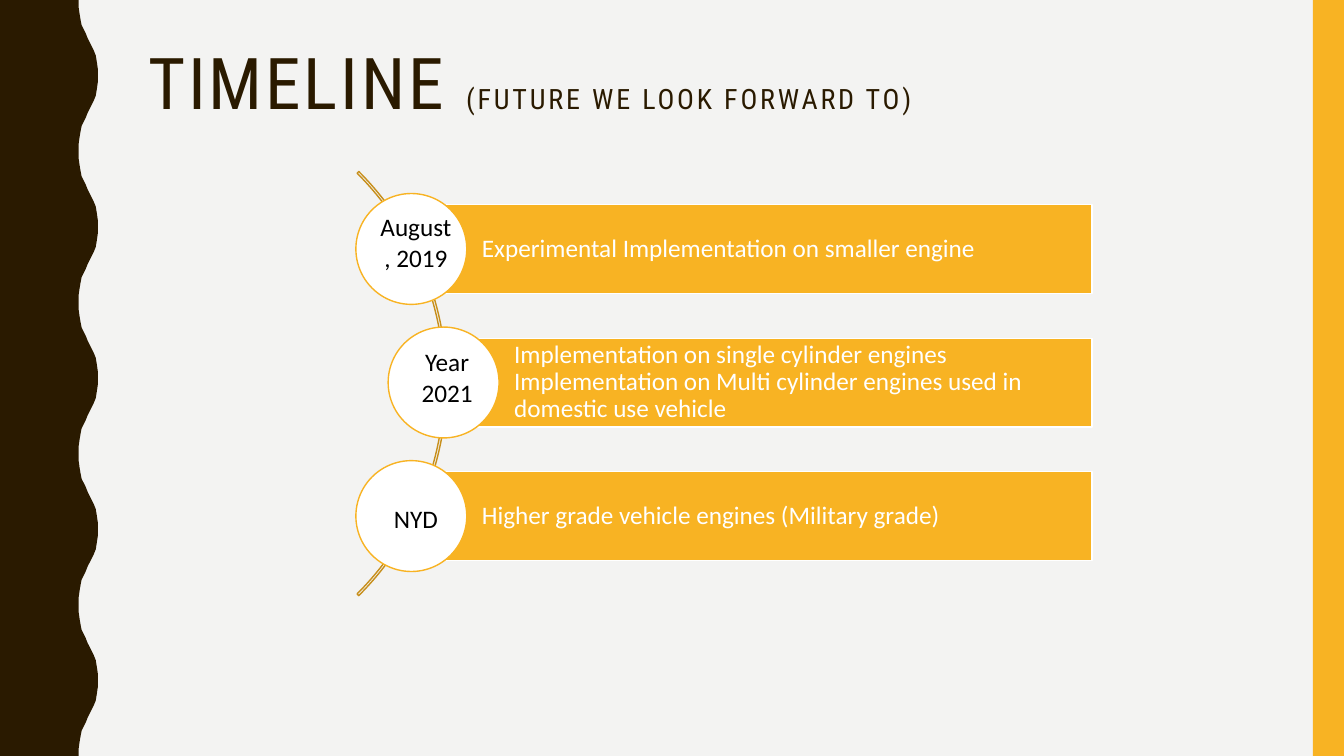
import dataclasses

import pptx
import pptx.dml.color
import pptx.enum.shapes
import pptx.enum.text
import pptx.shapes.autoshape
import pptx.slide
import pptx.text.text
import pptx.util

Inches = pptx.util.Inches
Pt = pptx.util.Pt
RGBColor = pptx.dml.color.RGBColor
Shape = pptx.shapes.autoshape.Shape
Preset = pptx.enum.shapes.MSO_SHAPE
Align = pptx.enum.text.PP_ALIGN
Anchor = pptx.enum.text.MSO_ANCHOR
AutoSize = pptx.enum.text.MSO_AUTO_SIZE

BROWN = RGBColor(0x2A, 0x1A, 0x00)
AMBER = RGBColor(0xF8, 0xB3, 0x23)
DARK_AMBER = RGBColor(0xC7, 0x8F, 0x1C)
PAPER = RGBColor(0xF3, 0xF3, 0xF2)
WHITE = RGBColor(0xFF, 0xFF, 0xFF)
BLACK = RGBColor(0x00, 0x00, 0x00)

SLIDE_WIDTH, SLIDE_HEIGHT = 13.33, 7.5
BAR_RIGHT, BAR_HEIGHT = 10.83, 0.88
FIRST_BAR_TOP, BAR_PITCH = 2.03, 1.325
CIRCLE_SIZE = 1.1

# Half a wave as (x, y); every second half is mirrored.
HALF_WAVE_HEIGHT = 0.75
HALF_WAVE = [
    (0.78, 0), (0.78, 0.07), (0.79, 0.14), (0.8, 0.2), (0.81, 0.25),
    (0.83, 0.29), (0.85, 0.33), (0.87, 0.38), (0.89, 0.42), (0.91, 0.46),
    (0.93, 0.5), (0.95, 0.55), (0.96, 0.61), (0.97, 0.68), (0.97, 0.75),
]


@dataclasses.dataclass(frozen=True)
class Milestone:
    date: str
    description: str
    bar_left: float
    date_left: float
    date_top: float
    date_height: float


MILESTONES = [
    Milestone("August, 2019", "Experimental Implementation on smaller engine",
              4.08, 3.65, 2.05, 0.71),
    Milestone("Year\n2021",
              "Implementation on single cylinder engines\v"
              "Implementation on Multi cylinder engines used in domestic use vehicle",
              4.4, 3.96, 3.39, 0.71),
    Milestone("NYD", "Higher grade vehicle engines (Military grade)",
              4.08, 3.65, 4.94, 0.4),
]


def paint(shape: Shape, fill: RGBColor | None, line: RGBColor | None) -> None:
    shape.shadow.inherit = False
    if fill is None:
        shape.fill.background()
    else:
        shape.fill.solid()
        shape.fill.fore_color.rgb = fill
    if line is None:
        shape.line.fill.background()
    else:
        shape.line.color.rgb = line
        shape.line.width = Pt(1)


def add_preset(slide: pptx.slide.Slide, preset: Preset, left: float, top: float,
               width: float, height: float, fill: RGBColor | None,
               line: RGBColor | None) -> Shape:
    shape = slide.shapes.add_shape(
        preset, Inches(left), Inches(top), Inches(width), Inches(height))
    paint(shape, fill, line)
    return shape


def format_text(frame: pptx.text.text.TextFrame, color: RGBColor,
                alignment: Align, line_spacing: float) -> None:
    for paragraph in frame.paragraphs:
        paragraph.alignment = alignment
        paragraph.line_spacing = line_spacing
        for span in paragraph.runs:
            span.font.name = "Calibri"
            span.font.size = Pt(18)
            span.font.color.rgb = color


def add_wave(slide: pptx.slide.Slide) -> None:
    edge = []
    for half in range(round(SLIDE_HEIGHT / HALF_WAVE_HEIGHT)):
        start = half * HALF_WAVE_HEIGHT
        if half % 2 == 0:
            edge += [(x, start + y) for x, y in HALF_WAVE]
        else:
            edge += [(x, start + HALF_WAVE_HEIGHT - y) for x, y in reversed(HALF_WAVE)]
    outline = edge + [(0, SLIDE_HEIGHT)]
    builder = slide.shapes.build_freeform(0, 0)
    builder.add_line_segments([(Inches(x), Inches(y)) for x, y in outline], close=True)
    paint(builder.convert_to_shape(), BROWN, None)


def add_title(slide: pptx.slide.Slide) -> None:
    title = slide.shapes.title
    title.left, title.top = Inches(1.37), Inches(0.42)
    title.width, title.height = Inches(11.13), Inches(1.63)
    frame = title.text_frame
    frame.word_wrap = True
    frame.auto_size = AutoSize.NONE
    frame.vertical_anchor = Anchor.TOP
    paragraph = frame.paragraphs[0]
    paragraph.alignment = Align.LEFT
    paragraph.line_spacing = 0.9
    for text, size in (("TIMELINE ", 51), ("(FUTURE WE LOOK FORWARD TO)", 20)):
        span = paragraph.add_run()
        span.text = text
        span.font.name = "Roboto Condensed"
        span.font.size = Pt(size)
        span.font.color.rgb = BROWN
        span.font._element.set("spc", "200")


def add_milestone(slide: pptx.slide.Slide, milestone: Milestone, bar_top: float) -> None:
    left = milestone.bar_left
    bar = add_preset(slide, Preset.RECTANGLE, left, bar_top,
                     BAR_RIGHT - left, BAR_HEIGHT, AMBER, WHITE)
    frame = bar.text_frame
    frame.word_wrap = True
    frame.vertical_anchor = Anchor.MIDDLE
    frame.margin_left = Inches(0.7)
    frame.margin_right = frame.margin_top = frame.margin_bottom = Inches(0.05)
    frame.paragraphs[0].text = milestone.description
    format_text(frame, WHITE, Align.LEFT, 0.9)

    add_preset(slide, Preset.OVAL, left - CIRCLE_SIZE / 2,
               bar_top + (BAR_HEIGHT - CIRCLE_SIZE) / 2,
               CIRCLE_SIZE, CIRCLE_SIZE, WHITE, AMBER)

    box = slide.shapes.add_textbox(
        Inches(milestone.date_left), Inches(milestone.date_top),
        Inches(0.95), Inches(milestone.date_height))
    box.text_frame.word_wrap = True
    box.text_frame.auto_size = AutoSize.SHAPE_TO_FIT_TEXT
    box.text_frame.text = milestone.date
    format_text(box.text_frame, BLACK, Align.CENTER, 1.0)


def main() -> None:
    deck = pptx.Presentation()
    deck.slide_width = Inches(SLIDE_WIDTH)
    deck.slide_height = Inches(SLIDE_HEIGHT)
    slide = deck.slides.add_slide(deck.slide_layouts.get_by_name("Title Only"))
    slide.background.fill.solid()
    slide.background.fill.fore_color.rgb = PAPER

    add_wave(slide)
    add_preset(slide, Preset.RECTANGLE, 13.02, 0, 0.31, SLIDE_HEIGHT, AMBER, None)
    add_title(slide)

    arc = add_preset(slide, Preset.BLOCK_ARC, -1.52, 0.83, 5.95, 5.95, None, DARK_AMBER)
    for index, value in enumerate((189, 27, 0.004)):
        arc.adjustments[index] = value
    for row, milestone in enumerate(MILESTONES):
        add_milestone(slide, milestone, FIRST_BAR_TOP + row * BAR_PITCH)

    deck.save("out.pptx")


if __name__ == "__main__":
    main()
